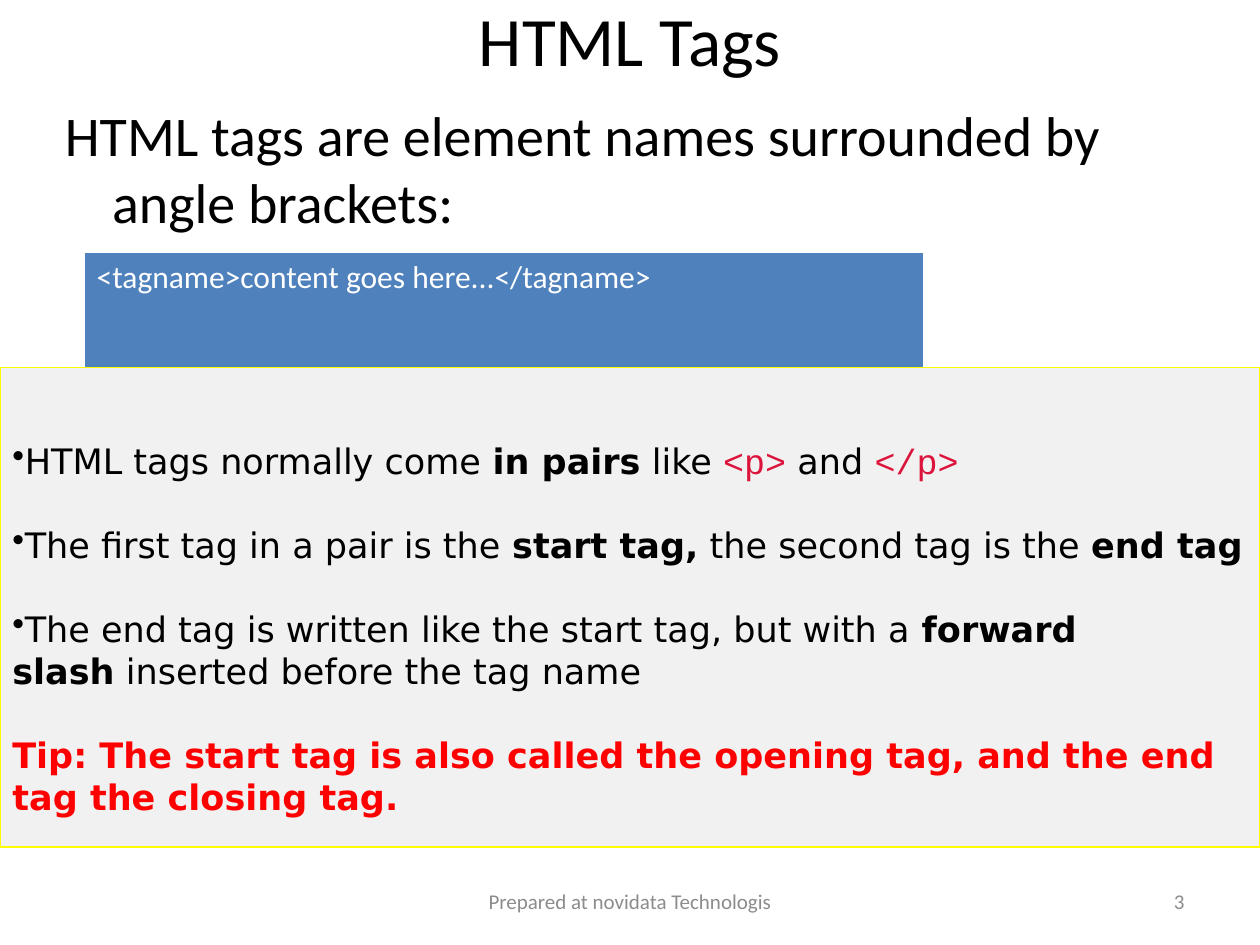
from lxml.etree import SubElement
from pptx import Presentation
from pptx.dml.color import RGBColor
from pptx.enum.shapes import MSO_SHAPE as Shape
from pptx.enum.text import MSO_ANCHOR as Anchor, PP_ALIGN as Align
from pptx.oxml.ns import qn
from pptx.util import Pt

BLACK = RGBColor(0x00, 0x00, 0x00)
WHITE = RGBColor(0xFF, 0xFF, 0xFF)
BLUE = RGBColor(0x4F, 0x81, 0xBD)
PANEL_GREY = RGBColor(0xF1, 0xF1, 0xF1)
YELLOW = RGBColor(0xFF, 0xFF, 0x00)
CRIMSON = RGBColor(0xDC, 0x14, 0x3C)
RED = RGBColor(0xFF, 0x00, 0x00)
FOOTER_GREY = RGBColor(0x8C, 0x8C, 0x8C)

NBSP = chr(160)  # written as ~ in the panel texts

# Run formats of the rules panel
PLAIN = {"name": "DejaVu Sans", "size": Pt(20), "bold": False, "color": BLACK}
BOLD = {**PLAIN, "bold": True}
CODE = {**PLAIN, "name": "Courier New", "color": CRIMSON}
TIP = {**BOLD, "color": RED}

RULES = [
    [("HTML tags normally come~", PLAIN), ("in pairs", BOLD), ("~like~", PLAIN),
     ("<p>", CODE), ("~and~", PLAIN), ("</p>", CODE)],
    [("The first tag in a pair is the~", PLAIN), ("start tag,", BOLD),
     ("~the second tag is the~", PLAIN), ("end tag", BOLD)],
    [("The end tag is written like the start tag, but with a~", PLAIN),
     ("forward slash", BOLD), ("~inserted before the tag name", PLAIN)],
]
TIP_LINE = [("Tip:~The start tag is also called the~opening tag, "
             "and the end tag the~closing tag.", TIP)]


def calibri(size, color):
    return {"name": "Calibri", "size": Pt(size), "bold": False, "color": color}


def add_run(paragraph, text, style):
    run = paragraph.add_run()
    run.text = text
    for key, value in style.items():
        if key == "color":
            run.font.color.rgb = value
        else:
            setattr(run.font, key, value)


def add_text(slide, box, text, style, align=Align.LEFT, **frame_format):
    label = slide.shapes.add_textbox(*map(Pt, box))
    frame = label.text_frame
    for key, value in {"word_wrap": True, **frame_format}.items():
        setattr(frame, key, value)
    paragraph = frame.paragraphs[0]
    paragraph.alignment = align
    add_run(paragraph, text, style)
    return paragraph


def add_bullet(paragraph):
    SubElement(paragraph._p.get_or_add_pPr(), qn("a:buChar"), char="•")


def add_syntax_table(slide):
    table = slide.shapes.add_table(1, 1, Pt(48), Pt(144), Pt(480), Pt(72)).table
    table.horz_banding = False
    cell = table.cell(0, 0)
    cell.fill.solid()
    cell.fill.fore_color.rgb = BLUE
    add_run(cell.text_frame.paragraphs[0],
            "<tagname>content goes here...</tagname>", calibri(18, WHITE))


def add_rules_panel(slide):
    panel = slide.shapes.add_shape(Shape.RECTANGLE, Pt(0), Pt(210), Pt(720), Pt(274))
    panel.shadow.inherit = False
    panel.fill.solid()
    panel.fill.fore_color.rgb = PANEL_GREY
    panel.line.color.rgb = YELLOW
    panel.line.width = Pt(0.75)

    frame = panel.text_frame
    frame_format = {"word_wrap": True, "vertical_anchor": Anchor.MIDDLE,
                    "margin_top": Pt(27.6)}
    for key, value in frame_format.items():
        setattr(frame, key, value)

    for index, line in enumerate(RULES + [TIP_LINE]):
        paragraph = frame.add_paragraph() if index else frame.paragraphs[0]
        paragraph.alignment = Align.LEFT
        if index:
            paragraph.space_before = Pt(24)
        if line is not TIP_LINE:
            add_bullet(paragraph)
        for text, style in line:
            add_run(paragraph, text.replace("~", NBSP), style)


def main():
    prs = Presentation()
    prs.slide_width, prs.slide_height = Pt(720), Pt(540)
    slide = prs.slides.add_slide(prs.slide_layouts[6])

    # Title and introduction
    add_text(slide, (36, 0, 648, 44), "HTML Tags", calibri(39.6, BLACK), Align.CENTER,
             vertical_anchor=Anchor.MIDDLE, margin_top=0, margin_bottom=0)
    intro = add_text(slide, (30, 54, 648, 114),
                     "HTML tags are element names surrounded by angle brackets:",
                     calibri(32, BLACK))
    for key, value in {"marL": Pt(27), "indent": -Pt(27)}.items():
        intro._p.get_or_add_pPr().set(key, str(value))

    # Syntax example and rules
    add_syntax_table(slide)
    add_rules_panel(slide)

    # Slide number and footer
    small = calibri(12, FOOTER_GREY)
    add_text(slide, (516, 500.5, 168, 29), "3", small, Align.RIGHT,
             vertical_anchor=Anchor.MIDDLE)
    add_text(slide, (246, 500.5, 228, 29), "Prepared at novidata Technologis", small,
             Align.CENTER, vertical_anchor=Anchor.MIDDLE)

    prs.save("out.pptx")


if __name__ == "__main__":
    main()
